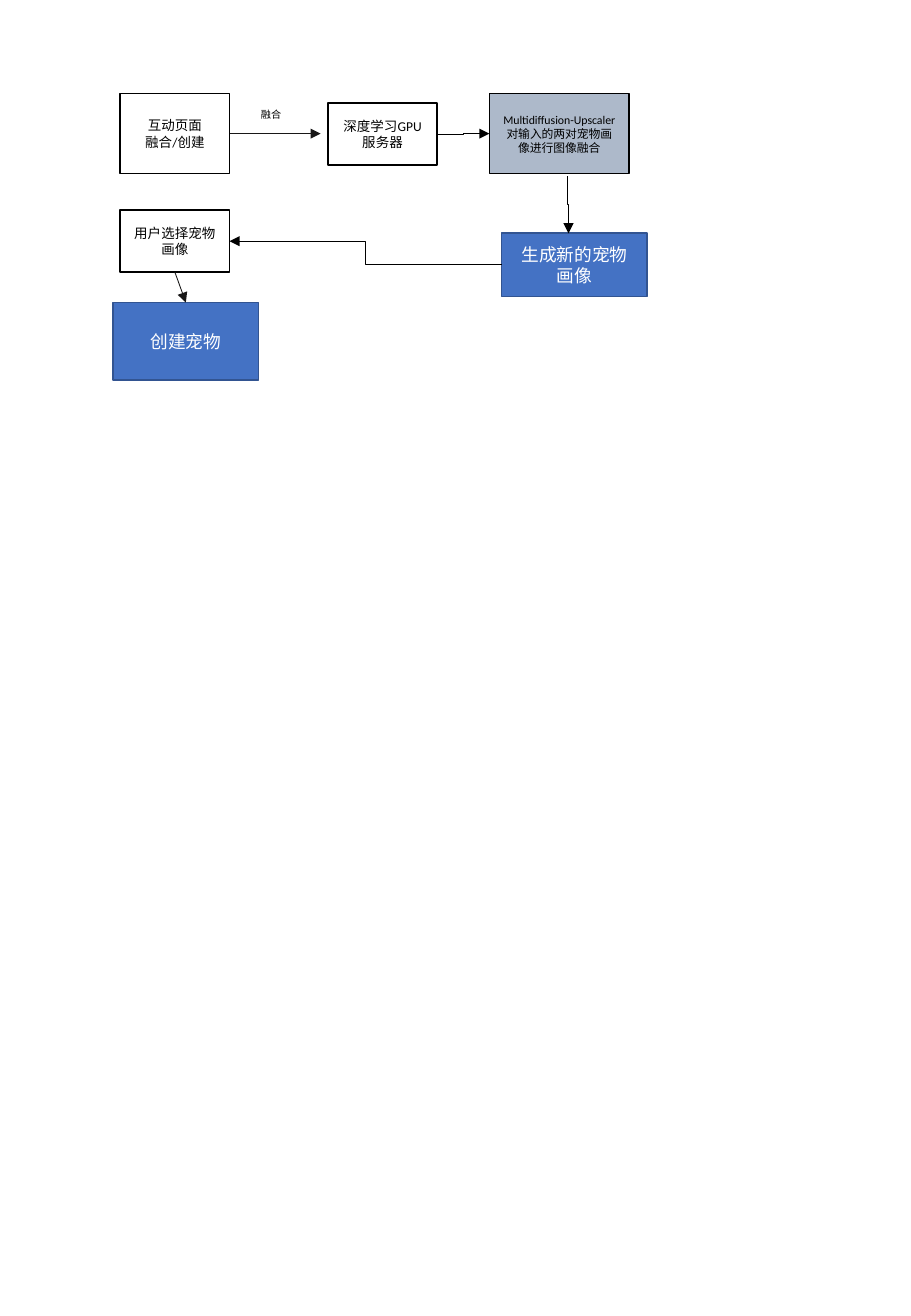
from lxml import etree
from pptx import Presentation
from pptx import util as u
from pptx.dml.color import RGBColor
from pptx.enum import shapes, text
from pptx.oxml.ns import qn

BLACK = RGBColor(0x00, 0x00, 0x00)
DARK = RGBColor(0x18, 0x17, 0x17)
WHITE = RGBColor(0xFF, 0xFF, 0xFF)
GREY = RGBColor(0xAD, 0xB9, 0xCA)
BLUE = RGBColor(0x44, 0x72, 0xC4)
NAVY = RGBColor(0x32, 0x54, 0x91)
STRAIGHT, ELBOW = shapes.MSO_CONNECTOR.STRAIGHT, shapes.MSO_CONNECTOR.ELBOW
TOP, LEFT, BOTTOM, RIGHT = range(4)

prs = Presentation()
prs.slide_width, prs.slide_height = u.Inches(7.5), u.Inches(10.83)
s = prs.slides.add_slide(prs.slide_layouts[6])


def write(tf, lines, size, color, align):
    tf.word_wrap = True
    for i, line in enumerate(lines):
        p = tf.add_paragraph() if i else tf.paragraphs[0]
        p.alignment = align
        r = p.add_run()
        r.text = line
        r.font.name = "Calibri"
        r.font.size = u.Pt(size)
        r.font.color.rgb = color


def arrow(kind, start, end, color):
    """Draw a thin arrow between two points given in inches."""
    c = s.shapes.add_connector(kind, *map(u.Inches, start + end))
    c.line.width = u.Pt(0.5)
    c.line.color.rgb = color
    etree.SubElement(c.line._get_or_add_ln(), qn("a:tailEnd"), type="triangle")
    etree.SubElement(c._element.spPr, qn("a:effectLst"))
    return c


# Steps: left, top, width, height, lines, size, text, fill, outline
COL1, COL2, COL3 = 0.99, 2.7, 4.03
steps = {
    "page": (COL1, 0.77, 0.9, 0.66, ["互动页面", "融合/创建"], 8, BLACK, None, BLACK),
    "choice": (COL1, 1.73, 0.9, 0.51, ["用户选择宠物画像"], 8, BLACK, None, BLACK),
    "server": (COL2, 0.85, 0.9, 0.51, ["深度学习GPU服务器"], 8, BLACK, None, BLACK),
    "fusion": (COL3, 0.77, 1.15, 0.66, ["Multidiffusion-Upscaler对输入的两对宠物画像进行图像融合"],
               7, BLACK, GREY, BLACK),
    "portrait": (4.13, 1.92, 1.2, 0.52, ["生成新的宠物画像"], 10.5, WHITE, BLUE, NAVY),
    "create": (0.93, 2.49, 1.2, 0.64, ["创建宠物"], 10.5, WHITE, BLUE, NAVY),
}
boxes = {}
for name, (x, y, w, h, lines, size, color, fill, outline) in steps.items():
    sp = s.shapes.add_shape(shapes.MSO_SHAPE.RECTANGLE, *map(u.Inches, (x, y, w, h)))
    sp.shadow.inherit = False
    if fill is None:
        sp.fill.background()
    else:
        sp.fill.solid()
        sp.fill.fore_color.rgb = fill
    sp.line.color.rgb = outline
    sp.line.width = u.Pt(1)
    sp.text_frame.vertical_anchor = text.MSO_ANCHOR.MIDDLE
    write(sp.text_frame, lines, size, color, text.PP_ALIGN.CENTER)
    boxes[name] = sp

label = s.shapes.add_textbox(*map(u.Inches, (2.05, 0.84, 0.53, 0.2)))
write(label.text_frame, ["融合"], 6, BLACK, text.PP_ALIGN.LEFT)

# The first arrow stops just short of the server
to_server = arrow(STRAIGHT, (1.9, 1.1), (2.64, 1.1), DARK)
to_server.begin_connect(boxes["page"], RIGHT)

links = [
    (STRAIGHT, "choice", BOTTOM, "create", TOP, DARK),
    (ELBOW, "server", RIGHT, "fusion", LEFT, BLACK),
    (ELBOW, "portrait", LEFT, "choice", RIGHT, BLACK),
]
for kind, source, side, target, target_side, color in links:
    c = arrow(kind, (0, 0), (1, 1), color)
    c.begin_connect(boxes[source], side)
    c.end_connect(boxes[target], target_side)

# A vertical elbow is a horizontal one turned by 270 degrees about its centre
x1, y1, x2, y2 = 4.67, 1.45, 4.68, 1.92
cx, cy = (x1 + x2) / 2, (y1 + y2) / 2
dx, dy = (y2 - y1) / 2, (x2 - x1) / 2
down = arrow(ELBOW, (cx + dx, cy - dy), (cx - dx, cy + dy), BLACK)
down._element.spPr.find(qn("a:xfrm")).set("rot", str(270 * 60000))

prs.save("out.pptx")
